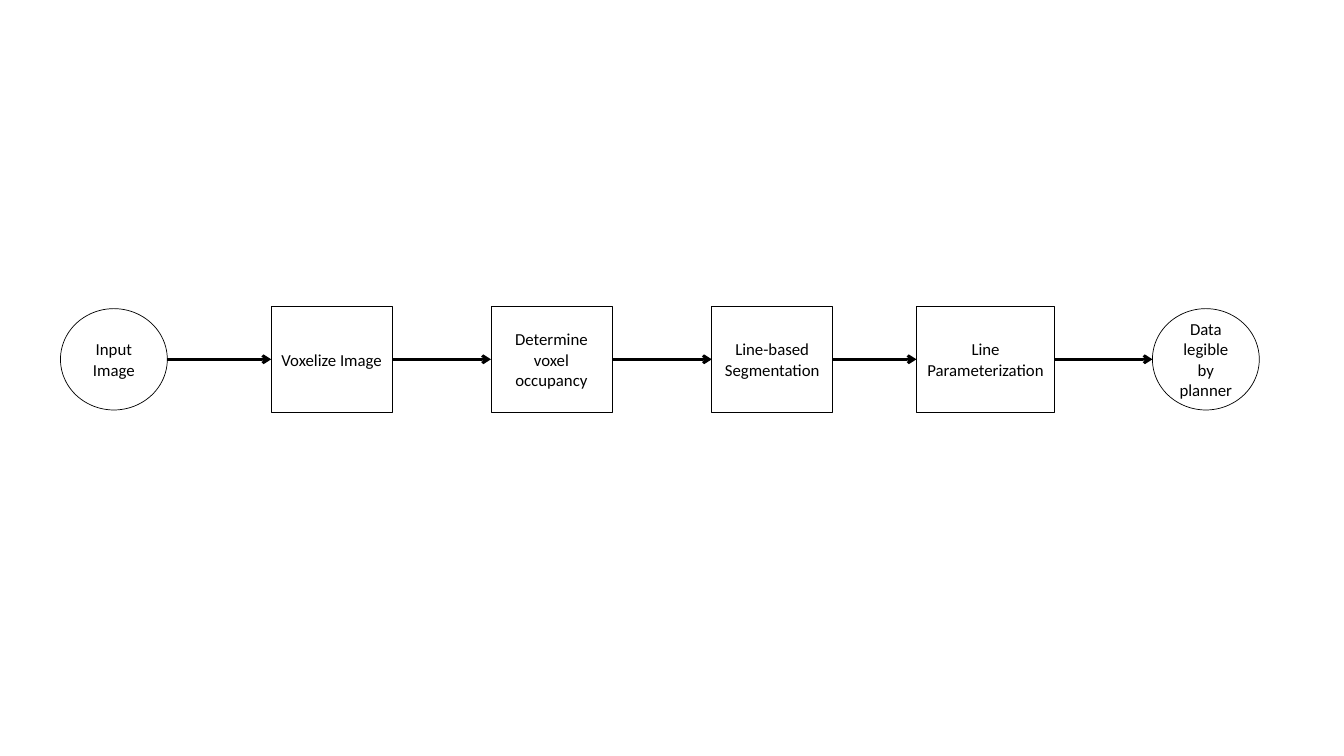
from dataclasses import dataclass
from itertools import pairwise

from lxml.etree import SubElement
from pptx import Presentation
from pptx.dml.color import RGBColor
from pptx.enum.shapes import MSO_CONNECTOR, MSO_SHAPE
from pptx.enum.text import MSO_ANCHOR, PP_ALIGN
from pptx.oxml.ns import qn
from pptx.shapes.autoshape import Shape
from pptx.shapes.connector import Connector
from pptx.slide import Slide
from pptx.util import Inches, Pt

WIDTH, HEIGHT = Inches(13.33), Inches(7.5)
MIDDLE = 47.53
BLACK = "000000"
RIGHT_SITE, LEFT_SITE = 3, 1
FRAME = {
    "word_wrap": True,
    "vertical_anchor": MSO_ANCHOR.MIDDLE,
    "margin_left": Inches(0.09),
    "margin_right": Inches(0.09),
}
FONT = {"name": "Calibri", "size": Pt(12)}


@dataclass(frozen=True)
class Step:
    text: str
    left: float
    width: float = 9.0
    height: float = 14.0
    kind: MSO_SHAPE = MSO_SHAPE.RECTANGLE


@dataclass(frozen=True)
class Terminal(Step):
    width: float = 7.95
    height: float = 13.4
    kind: MSO_SHAPE = MSO_SHAPE.OVAL


STEPS = [
    Terminal("Input Image", 4.5),
    Step("Voxelize Image", 20.18),
    Step("Determine voxel occupancy", 36.53),
    Step("Line-based Segmentation", 52.96),
    Step("Line Parameterization", 68.19, width=10.28),
    Terminal("Data legible by planner", 85.75),
]


def color(value: str) -> RGBColor:
    return RGBColor.from_string(value)


def across(share: float) -> int:
    return round(WIDTH * share / 100)


def down(share: float) -> int:
    return round(HEIGHT * share / 100)


def apply(target: object, values: dict) -> None:
    for name, value in values.items():
        setattr(target, name, value)


def set_line(sp: Shape | Connector, width: float) -> None:
    sp.line.color.rgb = color(BLACK)
    sp.line.width = Pt(width)


def add_step(s: Slide, step: Step) -> Shape:
    sp = s.shapes.add_shape(
        step.kind,
        across(step.left),
        down(MIDDLE - step.height / 2),
        across(step.width),
        down(step.height),
    )
    sp.shadow.inherit = False
    sp.fill.background()
    set_line(sp, 0.5)
    tf = sp.text_frame
    apply(tf, FRAME)
    p = tf.paragraphs[0]
    p.alignment = PP_ALIGN.CENTER
    r = p.add_run()
    r.text = step.text
    apply(r.font, FONT)
    r.font.color.rgb = color(BLACK)
    return sp


def add_arrow(s: Slide, start: Shape, end: Shape) -> None:
    y = down(MIDDLE)
    arrow = s.shapes.add_connector(
        MSO_CONNECTOR.STRAIGHT, start.left + start.width, y, end.left, y
    )
    set_line(arrow, 2)
    SubElement(arrow.line._get_or_add_ln(), qn("a:tailEnd"), type="arrow")
    SubElement(arrow._element.spPr, qn("a:effectLst"))
    if start.auto_shape_type == MSO_SHAPE.RECTANGLE:
        arrow.begin_connect(start, RIGHT_SITE)
    if end.auto_shape_type == MSO_SHAPE.RECTANGLE:
        arrow.end_connect(end, LEFT_SITE)


def main() -> None:
    prs = Presentation()
    prs.slide_width, prs.slide_height = WIDTH, HEIGHT
    s = prs.slides.add_slide(prs.slide_layouts[6])
    shapes = [add_step(s, step) for step in STEPS]
    for start, end in pairwise(shapes):
        add_arrow(s, start, end)
    prs.save("out.pptx")


if __name__ == "__main__":
    main()
